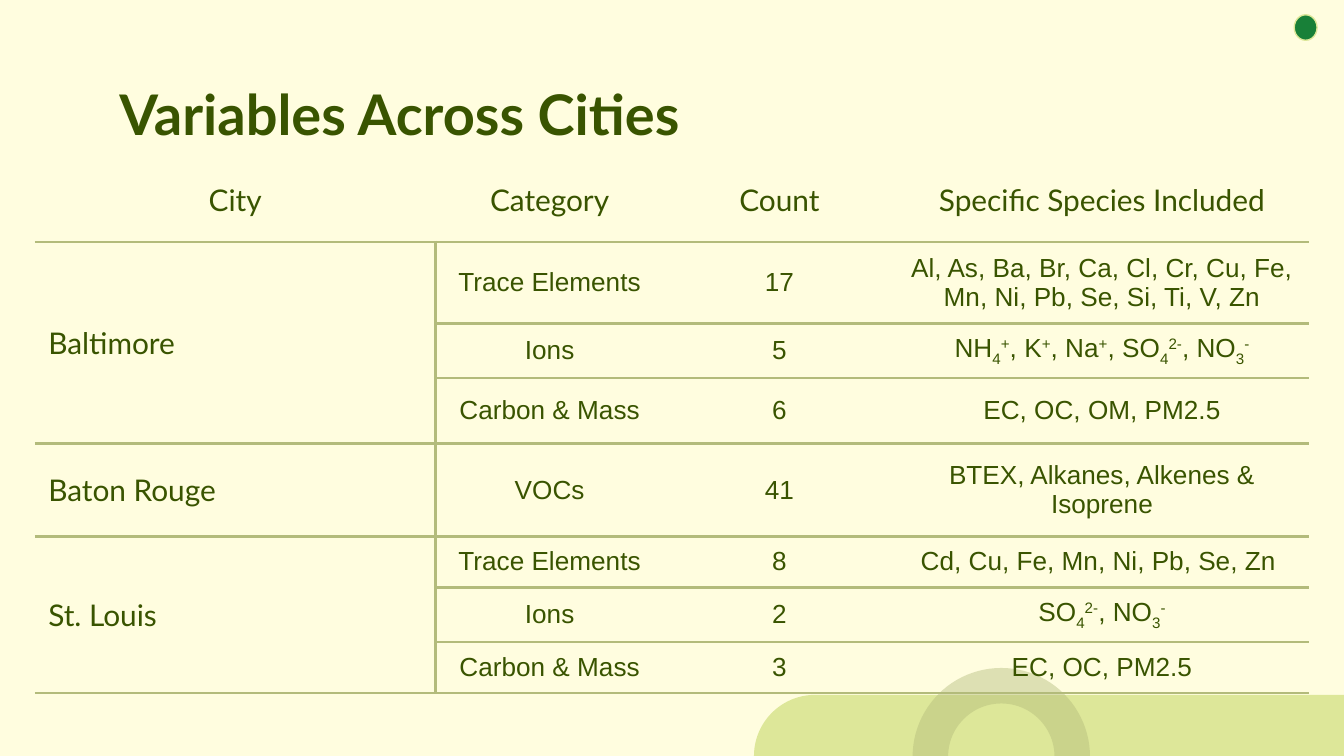
from lxml.etree import SubElement
from pptx import Presentation
from pptx.dml.color import RGBColor
from pptx.enum.shapes import MSO_SHAPE
from pptx.enum.text import MSO_ANCHOR, PP_ALIGN
from pptx.oxml.ns import qn
from pptx.util import Inches, Pt

BASE = {"_": "-25000", "^": "30000"}

# "|" parts the runs; "_" starts a subscript and "^" a superscript
HEAD = ["City", "Category", "Count", "Specific Species Included"]
ROWS = [
    ("Baltimore", "Trace Elements", "17",
     "Al, As, Ba, Br, Ca, Cl, Cr, Cu, Fe, Mn, Ni, Pb, Se, Si, Ti, V, Zn"),
    ("", "Ions", "5",
     "NH|_4|^+|, K|^+|, Na|^+|, SO|_4|^2-|, NO|_3|^-"),
    ("", "Carbon & Mass", "6", "EC, OC, OM, PM2.5"),
    ("Baton Rouge", "VOCs", "41", "BTEX, Alkanes, Alkenes & Isoprene"),
    ("St. Louis", "Trace Elements", "8", "Cd, Cu, Fe, Mn, Ni, Pb, Se, Zn "),
    ("", "Ions", "2", "SO|_4|^2-|, NO|_3|^-"),
    ("", "Carbon & Mass", "3", "EC, OC, PM2.5"),
]
WIDTHS = [2.98, 1.7, 1.72, 3.08]
HEIGHTS = [0.62, 0.5, 0.38, 0.49, 0.69, 0.38, 0.38, 0.38]
SPANS = [(1, 3), (5, 7)]


def color(code):
    return RGBColor.from_string(code)


class Deck:
    ink, rule, lime = "395400", "B3BB7B", "DDE799"
    green, paper = "188038", "FFFDDF"
    head, body = "Lato", "Arial"

    def __init__(self):
        self.prs = Presentation()
        # A 16:9 page
        self.prs.slide_width = Inches(10)
        self.prs.slide_height = Inches(10) * 9 // 16
        self.slide = self.prs.slides.add_slide(self.prs.slide_layouts[6])
        fill = self.slide.background.fill
        fill.solid()
        fill.fore_color.rgb = color(self.paper)

    def style(self, run, font, size, bold=False):
        run.font.name = font
        run.font.size = Pt(size)
        run.font.bold = bold
        run.font.color.rgb = color(self.ink)

    def shape(self, kind, box, fill, adj=(), turn=0, alpha=None, line=None):
        item = self.slide.shapes.add_shape(kind, *map(Inches, box))
        item.shadow.inherit = False
        item.rotation = turn
        for i, value in enumerate(adj):
            item.adjustments[i] = value
        item.fill.solid()
        item.fill.fore_color.rgb = color(fill)
        if alpha:
            tone = item.fill._xPr.find(".//" + qn("a:srgbClr"))
            SubElement(tone, qn("a:alpha"), val=str(alpha * 1000))
        if line:
            item.line.color.rgb = color(line)
            item.line.width = Pt(0.75)
        else:
            item.line.fill.background()

    def title(self, text, box):
        frame = self.slide.shapes.add_textbox(*map(Inches, box)).text_frame
        frame.word_wrap = True
        frame.margin_top = frame.margin_bottom = Inches(0.1)
        frame.text = text
        self.style(frame.paragraphs[0].runs[0], self.head, 30, True)

    def edges(self, cell, sides):
        props = cell._tc.get_or_add_tcPr()
        for side in "LRTB":
            line = SubElement(props, qn("a:ln" + side), w=str(Pt(1.5)))
            if side in sides:
                fill = SubElement(line, qn("a:solidFill"))
                SubElement(fill, qn("a:srgbClr"), val=self.rule)
            else:
                SubElement(line, qn("a:noFill"))

    def cell(self, cell, text, font, size, align, sides):
        self.edges(cell, sides)
        cell.fill.background()
        cell.vertical_anchor = MSO_ANCHOR.MIDDLE
        cell.margin_left = cell.margin_right = Inches(0.1)
        cell.margin_top = cell.margin_bottom = Inches(0.07)
        para = cell.text_frame.paragraphs[0]
        para.alignment = align
        for part in filter(None, text.split("|")):
            run = para.add_run()
            run.text = part.lstrip("_^")
            self.style(run, font, size)
            if part[0] in BASE:
                run._r.get_or_add_rPr().set("baseline", BASE[part[0]])

    def table(self, left, top):
        data = [HEAD, *ROWS]
        grid = self.slide.shapes.add_table(
            len(data), len(HEAD), Inches(left), Inches(top),
            Inches(sum(WIDTHS)), Inches(sum(HEIGHTS))).table
        grid.first_row = grid.horz_banding = False
        for col, width in zip(grid.columns, WIDTHS):
            col.width = Inches(width)
        for row, height in zip(grid.rows, HEIGHTS):
            row.height = Inches(height)
        for first, last in SPANS:
            grid.cell(first, 0).merge(grid.cell(last, 0))
        for r, row in enumerate(data):
            for c, text in enumerate(row):
                city = c == 0 and r > 0
                big = r == 0 or city
                sides = "B" if r == 0 else "TB"
                if r and c < 2:
                    sides += "RL"[c]
                self.cell(grid.cell(r, c), text,
                          self.head if big else self.body,
                          16 if big else 14,
                          PP_ALIGN.LEFT if city else PP_ALIGN.CENTER, sides)


def main():
    deck = Deck()
    # Corner decoration
    deck.shape(MSO_SHAPE.ROUND_2_SAME_RECTANGLE, (7.35, 3.43, 0.91, 4.39),
               deck.lime, adj=(0.5, 0), turn=270)
    deck.shape(MSO_SHAPE.BLOCK_ARC, (6.79, 4.97, 1.32, 1.32),
               deck.rule, adj=(108, 0.94, 0.2), alpha=44)
    # Title and table
    deck.title("Variables Across Cities", (0.79, 0.49, 8.43, 0.63))
    deck.table(0.26, 1.18)
    # Marker dot
    deck.shape(MSO_SHAPE.OVAL, (9.63, 0.11, 0.17, 0.19),
               deck.green, line=deck.lime)
    deck.prs.save("out.pptx")


if __name__ == "__main__":
    main()
